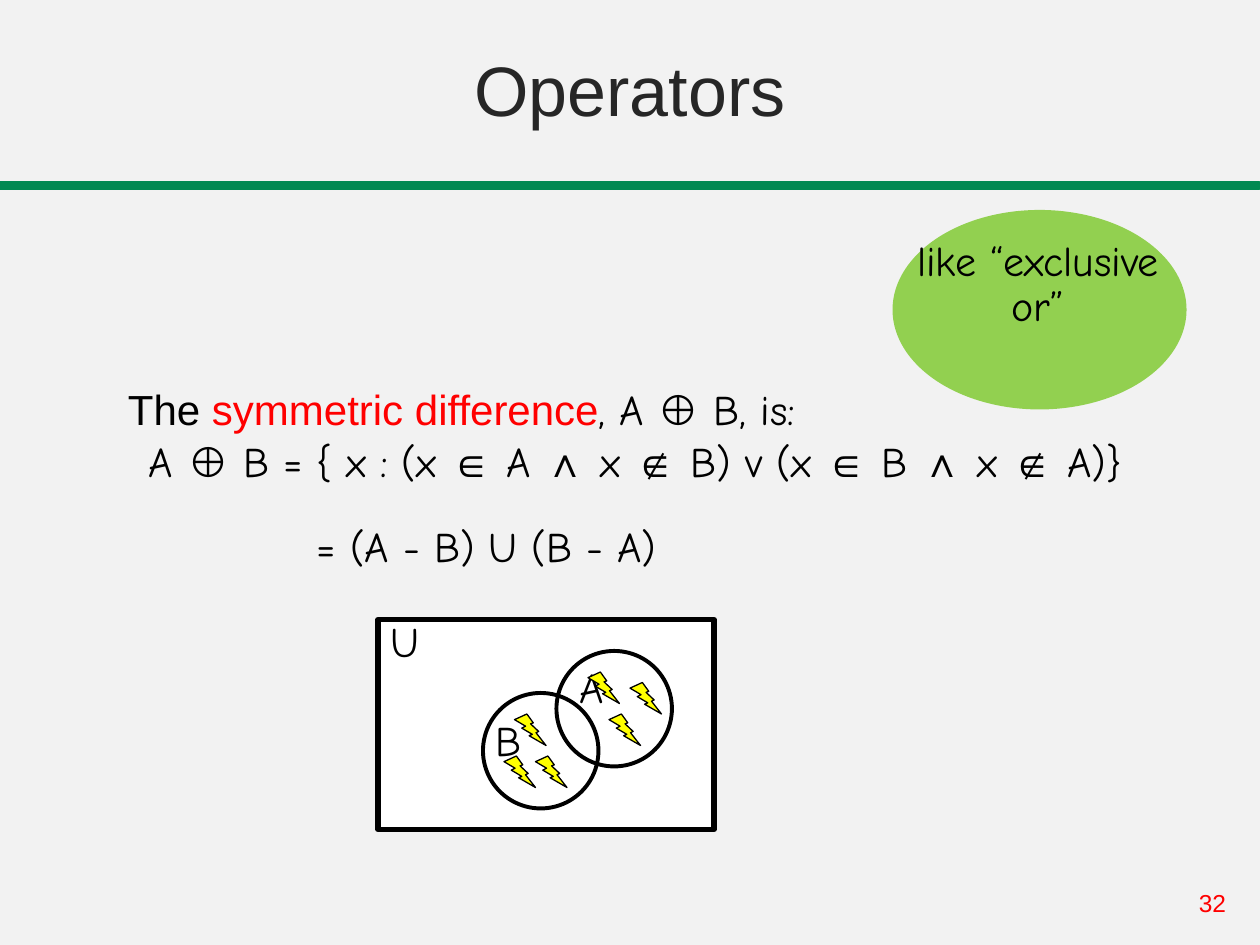
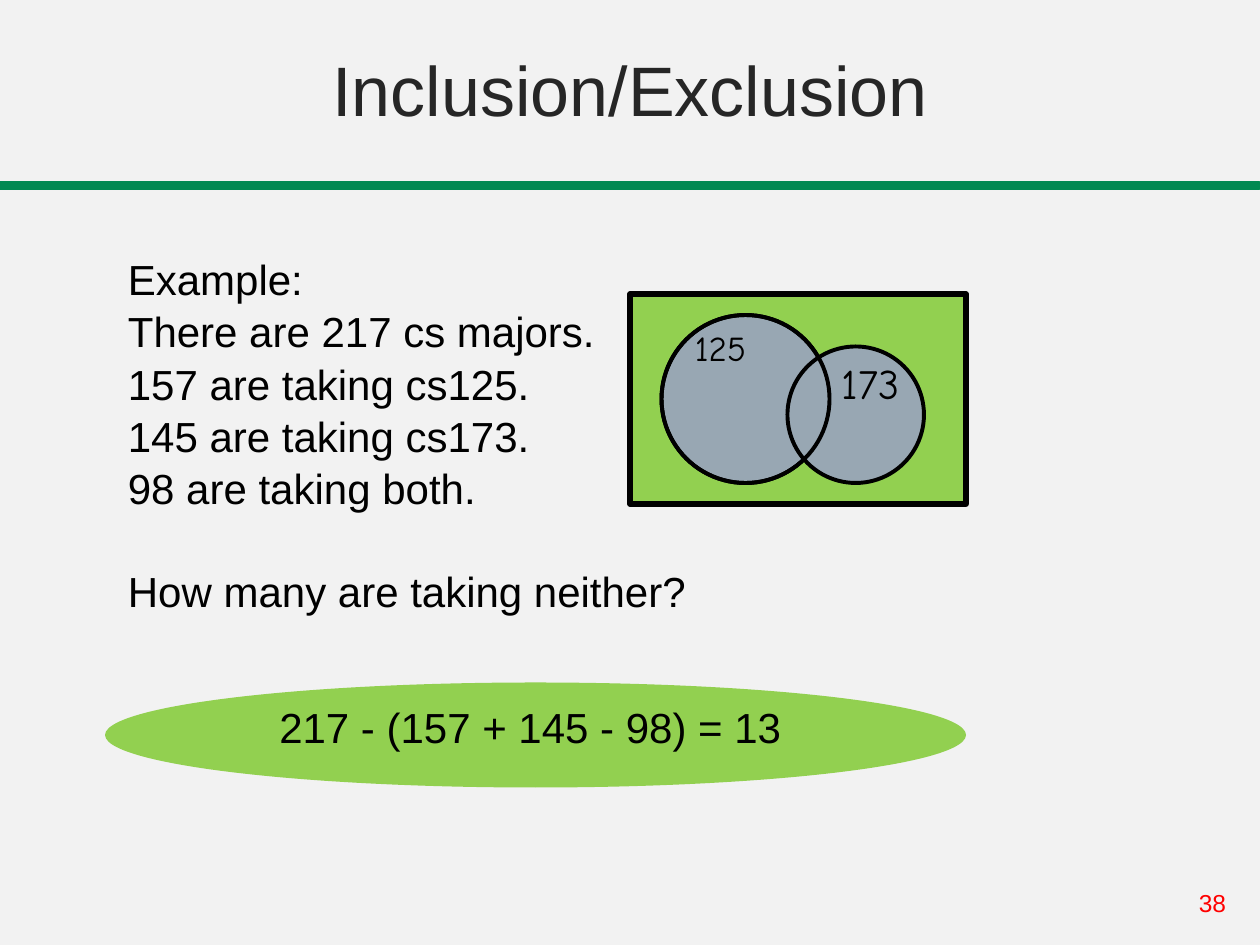
from itertools import groupby

from pptx import Presentation
from pptx.dml.color import RGBColor
from pptx.enum.shapes import MSO_SHAPE
from pptx.enum.text import MSO_ANCHOR, MSO_AUTO_SIZE, PP_ALIGN
from pptx.util import Inches, Pt

COLORS = {
    "background": "F2F2F2", "band": "018952", "title": "262626",
    "text": "000000", "accent": "FF0000", "callout": "92D050",
    "white": "FFFFFF", "course": "98A7B3", "bolt": "FFFF00",
}
SANS, HAND = "Arial", "Comic Neue"
SYMBOLS = "⊕∈∧∉"
TITLE_ONLY = 5


def color(name):
    return RGBColor.from_string(COLORS[name])


def formula(text):
    """Split text into runs so that set and logic symbols use the sans font."""
    return [("".join(part), {"font": SANS if is_symbol else HAND})
            for is_symbol, part in groupby(text, lambda letter: letter in SYMBOLS)]


def write(paragraph, content, font=SANS, size=24, ink="text",
          align=PP_ALIGN.LEFT, line_spacing=1.0, space_before=0):
    """Fill a paragraph from a string or a list of (text, overrides) runs."""
    paragraph.alignment = align
    paragraph.line_spacing = line_spacing
    paragraph.space_before = Pt(space_before)
    runs = [(content, {})] if isinstance(content, str) else content
    for text, overrides in runs:
        run = paragraph.add_run()
        run.text = text
        run.font.name = overrides.get("font", font)
        run.font.size = Pt(size)
        run.font.color.rgb = color(overrides.get("ink", ink))


class Deck:
    """Holds the presentation and current slide; lengths are grid cells."""

    COLUMNS, ROWS = 120, 90
    LINE_GAP = 1.2
    BLANK_LINE = 30

    def __init__(self):
        self.presentation = Presentation()
        self.presentation.slide_width = Inches(10)
        self.presentation.slide_height = Inches(7.5)
        fill = self.presentation.slide_master.background.fill
        fill.solid()
        fill.fore_color.rgb = color("background")
        self.slide = None

    def box(self, column, row, width, height):
        cell_width = self.presentation.slide_width / self.COLUMNS
        cell_height = self.presentation.slide_height / self.ROWS
        return (round(column * cell_width), round(row * cell_height),
                round(width * cell_width), round(height * cell_height))

    def new_slide(self, title, number):
        layout = self.presentation.slide_layouts[TITLE_ONLY]
        self.slide = self.presentation.slides.add_slide(layout)
        self.title(title)
        self.shape(MSO_SHAPE.RECTANGLE, 0, 17.4, 120, 0.6,
                   fill="band", line="band", weight=1.75)
        self.text(str(number), 113, 84, 7, 4, size=14, ink="accent")

    def title(self, text):
        placeholder = self.slide.shapes.title
        (placeholder.left, placeholder.top,
         placeholder.width, placeholder.height) = self.box(0, 0, 120, 13)
        frame = placeholder.text_frame
        frame.auto_size = MSO_AUTO_SIZE.NONE
        frame.vertical_anchor = MSO_ANCHOR.BOTTOM
        write(frame.paragraphs[0], text, size=40, ink="title",
              align=PP_ALIGN.CENTER)

    def shape(self, kind, column, row, width, height,
              fill=None, line=None, weight=2.25):
        shape = self.slide.shapes.add_shape(
            kind, *self.box(column, row, width, height))
        shape.shadow.inherit = False
        if fill:
            shape.fill.solid()
            shape.fill.fore_color.rgb = color(fill)
        else:
            shape.fill.background()
        if line:
            shape.line.color.rgb = color(line)
            shape.line.width = Pt(weight)
        else:
            shape.line.fill.background()

    def circle(self, column, row, diameter, fill=None):
        self.shape(MSO_SHAPE.OVAL, column, row, diameter, diameter,
                   fill=fill, line="text")

    def universe(self, column, row, fill):
        self.shape(MSO_SHAPE.RECTANGLE, column, row, 32, 20,
                   fill=fill, line="text", weight=3)

    def bolt(self, column, row):
        self.shape(MSO_SHAPE.LIGHTNING_BOLT, column, row, 3, 3,
                   fill="bolt", line="text", weight=0.75)

    def frame(self, column, row, width, height):
        frame = self.slide.shapes.add_textbox(
            *self.box(column, row, width, height)).text_frame
        frame.word_wrap = True
        return frame

    def text(self, content, column, row, width, height, **style):
        frame = self.frame(column, row, width, height)
        write(frame.paragraphs[0], content, **style)

    def label(self, content, column, row, width, height, **style):
        self.text(content, column, row, width, height,
                  font=HAND, line_spacing=0.9, **style)

    def body(self, *items):
        """Write (content, style) items, centred vertically in the body area."""
        frame = self.frame(11, 18, 99, 46.8)
        frame.vertical_anchor = MSO_ANCHOR.MIDDLE
        for index, (content, style) in enumerate(items):
            paragraph = frame.add_paragraph() if index else frame.paragraphs[0]
            gap = self.LINE_GAP if index else 0
            write(paragraph, content, **{"space_before": gap, **style})


def add_operators(deck):
    deck.new_slide("Operators", 32)
    definition = [("The ", {}), ("symmetric difference", {"ink": "accent"})]
    deck.body(
        (definition + formula(", A ⊕ B, is:"), {}),
        (formula("A ⊕ B = { x : (x ∈ A ∧ x ∉ B) v (x ∈ B ∧ x ∉ A)}"),
         {"align": PP_ALIGN.CENTER}),
    )
    deck.text("= (A - B) U (B - A)", 29, 49, 35, 8, font=HAND)

    deck.shape(MSO_SHAPE.OVAL, 85, 20, 28, 19, fill="callout")
    deck.label("like “exclusive or”", 85, 22.3, 27.7, 9.8,
               align=PP_ALIGN.CENTER)

    deck.universe(36, 59, "white")
    deck.label("A", 54, 63, 5, 6)
    deck.text("U", 36, 58, 6, 7, font=HAND)
    deck.circle(46, 66, 11, fill="white")
    deck.label("B", 46, 68, 5, 6)
    deck.circle(53, 62, 11)
    bolts_in_a = [(58, 68), (60, 65), (56, 64)]
    bolts_in_b = [(49, 68), (48, 72), (51, 72)]
    for column, row in bolts_in_a + bolts_in_b:
        deck.bolt(column, row)


def add_inclusion_exclusion(deck):
    deck.new_slide("Inclusion/Exclusion", 38)
    facts = ["Example:", "There are 217 cs majors.", "157 are taking cs125.",
             "145 are taking cs173.", "98 are taking both."]
    deck.body(*[(fact, {}) for fact in facts],
              ("How many are taking neither?",
               {"space_before": deck.BLANK_LINE}))

    deck.shape(MSO_SHAPE.OVAL, 10, 65, 82, 10, fill="callout")
    deck.text("217 - (157 + 145 - 98) = 13", 10, 66.2, 81, 6,
              align=PP_ALIGN.CENTER)

    deck.universe(60, 28, "callout")
    deck.circle(63, 30, 16, fill="course")
    deck.circle(75, 33, 13, fill="course")
    deck.label("125", 65, 31, 9, 7, size=20)
    deck.label("173", 79, 34, 12, 6)
    deck.circle(63, 30, 16)


def main():
    deck = Deck()
    add_operators(deck)
    add_inclusion_exclusion(deck)
    deck.presentation.save("out.pptx")


if __name__ == "__main__":
    main()
